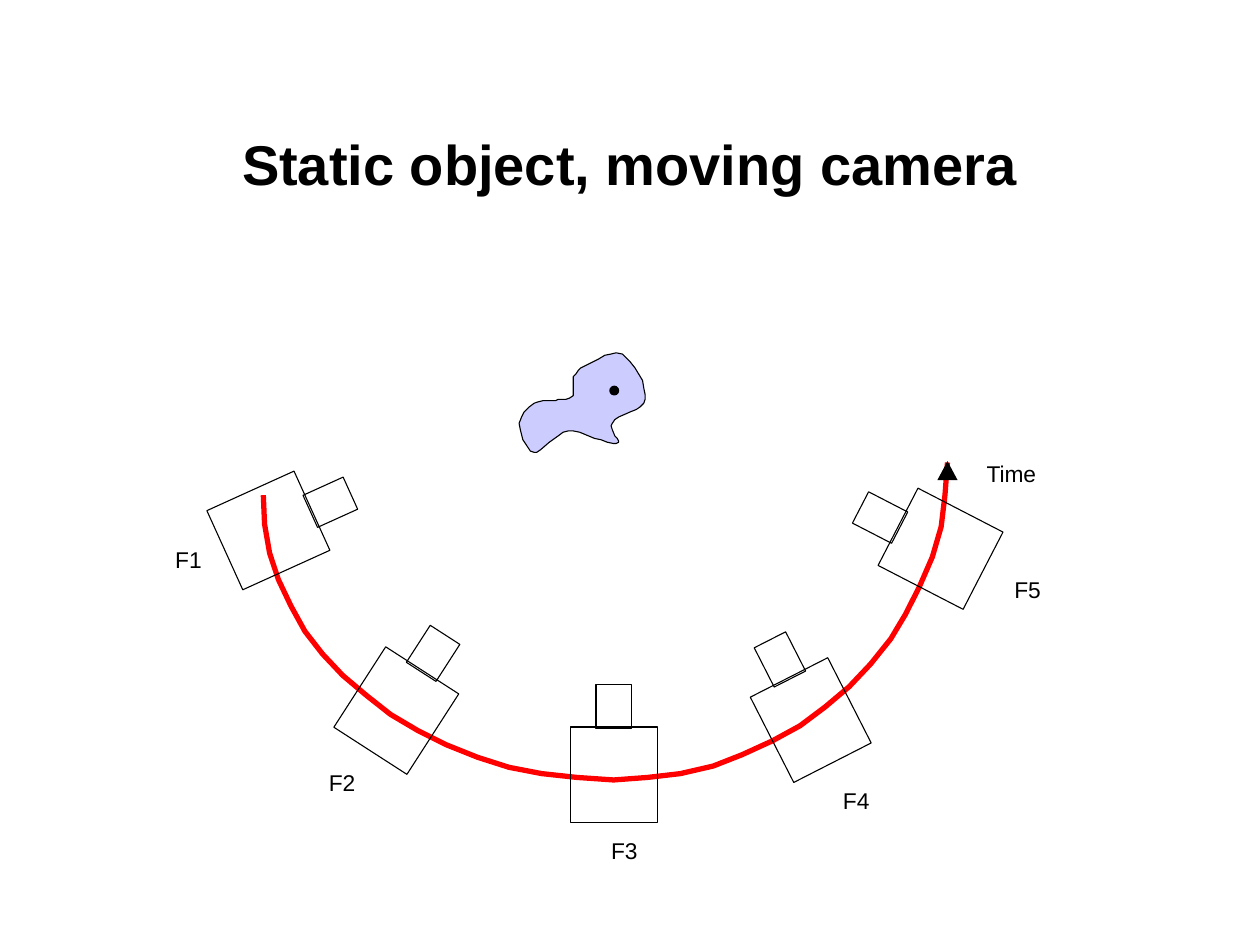
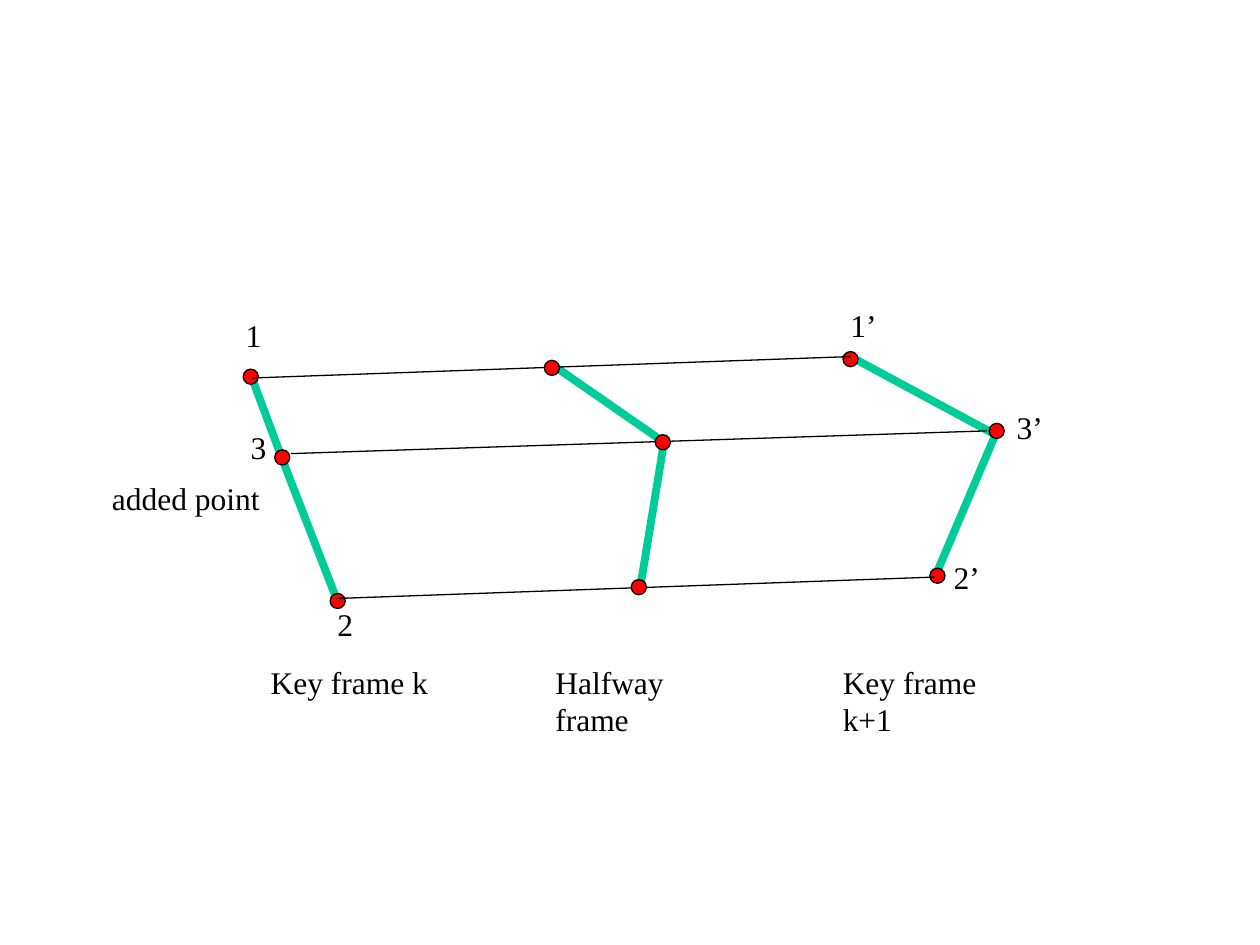
"""Build two slides on camera motion and key frame interpolation."""
import math
from dataclasses import dataclass

import lxml.etree
import pptx
import pptx.dml.color
import pptx.enum.shapes
import pptx.enum.text
import pptx.oxml.ns
import pptx.util

SHAPE = pptx.enum.shapes.MSO_SHAPE
ALIGN = pptx.enum.text.PP_ALIGN


@dataclass(frozen=True)
class Theme:
    """Colours, fonts, type sizes and line widths."""
    ink: str = "000000"
    body: str = "CCCCFF"
    red: str = "FF0000"
    limb: str = "00CC99"
    sans: str = "Arial"
    serif: str = "Times New Roman"
    title: int = 32
    tag: int = 13
    label: int = 18
    thin: float = 0.62
    rule: float = 0.75
    track: float = 3
    limb_width: float = 4.5


THEME = Theme()

BLOB = [
    (4.43, 3.17), (4.49, 3.17), (4.52, 3.16), (4.55, 3.14), (4.55, 2.99), (4.57, 2.97),
    (4.59, 2.94), (4.61, 2.92), (4.65, 2.9), (4.75, 2.85), (4.8, 2.82), (4.85, 2.81),
    (4.89, 2.8), (4.94, 2.81), (4.97, 2.84), (5, 2.87), (5.04, 2.92), (5.07, 2.97),
    (5.1, 3.02), (5.11, 3.08), (5.12, 3.13), (5.12, 3.17), (5.11, 3.2), (5.08, 3.23),
    (5.05, 3.25), (5, 3.27), (4.91, 3.31), (4.88, 3.33), (4.86, 3.36), (4.85, 3.38),
    (4.86, 3.41), (4.88, 3.46), (4.9, 3.48), (4.91, 3.5), (4.91, 3.51), (4.89, 3.52),
    (4.87, 3.52), (4.82, 3.51), (4.77, 3.49), (4.72, 3.48), (4.6, 3.43), (4.55, 3.42),
    (4.51, 3.42), (4.47, 3.43), (4.43, 3.46), (4.36, 3.51), (4.29, 3.57), (4.26, 3.59),
    (4.24, 3.59), (4.21, 3.58), (4.19, 3.55), (4.15, 3.49), (4.13, 3.41), (4.12, 3.36),
    (4.14, 3.31), (4.16, 3.27), (4.2, 3.23), (4.24, 3.2), (4.27, 3.19), (4.31, 3.18),
    (4.41, 3.18),
]
TRACK = [
    (2.09, 3.93), (2.1, 4.16), (2.14, 4.39), (2.21, 4.6), (2.31, 4.81), (2.42, 5.01),
    (2.56, 5.19), (2.72, 5.36), (2.91, 5.52), (3.1, 5.67), (3.32, 5.8), (3.54, 5.91),
    (3.79, 6.01), (4.04, 6.09), (4.3, 6.14), (4.58, 6.17), (4.87, 6.19), (5.14, 6.17),
    (5.4, 6.14), (5.66, 6.08), (5.89, 5.99), (6.13, 5.88), (6.35, 5.76), (6.55, 5.61),
    (6.74, 5.45), (6.91, 5.27), (7.07, 5.07), (7.19, 4.87), (7.3, 4.65), (7.4, 4.42),
    (7.47, 4.18), (7.5, 3.93), (7.52, 3.67),
]
CAMERAS = [
    ("F1", 2.13, 4.21, 65.6, 1.39, 4.33),
    ("F2", 3.145, 5.64, 32.8, 2.61, 6.1),
    ("F3", 4.87, 6.15, 0, 4.85, 6.64),
    ("F4", 6.435, 5.715, -27, 6.69, 6.24),
    ("F5", 7.465, 4.355, -62.7, 8.05, 4.57),
]
LIMBS = [
    [(2, 3), (2.25, 3.67), (2.67, 4.75)],
    [(4.42, 2.92), (5.27, 3.51), (5.08, 4.67)],
    [(6.75, 2.83), (7.9, 3.45), (7.42, 4.58)],
]
KEY_DOTS = [(1.99, 2.99), (2.68, 4.77), (6.75, 2.85), (7.44, 4.57)]
OTHER_DOTS = [(2.24, 3.63), (7.91, 3.42), (4.38, 2.92), (5.26, 3.51), (5.07, 4.66)]
LINKS = [((2, 3), (6.75, 2.83)), ((2.67, 4.75), (7.42, 4.58)), ((2.31, 3.6), (7.83, 3.42))]
LABELS = [
    ("1", 1.85, 2.46, 0.32), ("2", 2.58, 4.75, 0.32), ("3", 1.89, 3.35, 0.32),
    ("1’", 6.65, 2.38, 0.41), ("2’", 7.47, 4.38, 0.41), ("3’", 7.97, 3.19, 0.41),
    ("added point", 0.79, 3.75, 1.37), ("Key frame k", 2.05, 5.21, 1.45),
    ("Halfway frame", 4.31, 5.21, 1.7), ("Key frame k+1", 6.59, 5.21, 1.71),
]


def inch(value):
    """Turn a position on the inch grid into a length."""
    return pptx.util.Cm(2.54 * value)


def rgb(colour):
    """Turn a hex string into a colour."""
    return pptx.dml.color.RGBColor.from_string(colour)


def paint(sp, fill=None, line=None, width=THEME.thin):
    """Set fill and outline, with none where no colour is given."""
    sp.shadow.inherit = False
    if fill:
        sp.fill.solid()
        sp.fill.fore_color.rgb = rgb(fill)
    else:
        sp.fill.background()
    if line:
        sp.line.color.rgb = rgb(line)
        sp.line.width = pptx.util.Pt(width)
    else:
        sp.line.fill.background()


def add_preset(slide, kind, cx, cy, w, h, angle=0, **style):
    """Add a preset shape around its centre."""
    sp = slide.shapes.add_shape(kind, inch(cx - w / 2), inch(cy - h / 2), inch(w), inch(h))
    sp.rotation = angle
    paint(sp, **style)


def add_outline(slide, points, close=False, **style):
    """Add a freeform through the points."""
    start, *rest = [(inch(x), inch(y)) for x, y in points]
    builder = slide.shapes.build_freeform(*start)
    builder.add_line_segments(rest, close=close)
    paint(builder.convert_to_shape(), **style)


def add_link(slide, start, end):
    """Add a thin straight line."""
    kind = pptx.enum.shapes.MSO_CONNECTOR.STRAIGHT
    line = slide.shapes.add_connector(kind, *map(inch, start + end))
    line.line.color.rgb = rgb(THEME.ink)
    line.line.width = pptx.util.Pt(THEME.rule)
    sp_pr = line._element.spPr
    lxml.etree.SubElement(sp_pr, pptx.oxml.ns.qn("a:effectLst"))


def add_text(slide, text, x, y, w, h, size, font, inset=(0.1, 0.05), bold=False):
    """Add a text box with one unwrapped paragraph and return it."""
    tb = slide.shapes.add_textbox(inch(x), inch(y), inch(w), inch(h))
    tf = tb.text_frame
    tf.word_wrap = False
    tf.margin_left = tf.margin_right = inch(inset[0])
    tf.margin_top = tf.margin_bottom = inch(inset[1])
    tf.text = text
    r = tf.paragraphs[0].runs[0]
    r.font.size = pptx.util.Pt(size)
    r.font.name = font
    r.font.bold = bold
    r.font.color.rgb = rgb(THEME.ink)
    return tb


def add_title(slide, text):
    """Add the centred slide title."""
    tf = add_text(slide, text, 0.75, 0.67, 8.5, 1.25, THEME.title, THEME.sans, bold=True).text_frame
    tf.word_wrap = True
    tf.vertical_anchor = pptx.enum.text.MSO_ANCHOR.MIDDLE
    tf.paragraphs[0].alignment = ALIGN.CENTER


def add_tag(slide, text, x, y, w=0.21):
    """Add a small label without insets."""
    add_text(slide, text, x, y, w, 0.22, THEME.tag, THEME.sans, inset=(0, 0))


def add_camera(slide, cx, cy, angle):
    """Add a camera body with its lens, turned clockwise from upright."""
    reach, turn = 0.54, math.radians(angle)
    lens_x, lens_y = cx + reach * math.sin(turn), cy - reach * math.cos(turn)
    add_preset(slide, SHAPE.RECTANGLE, cx, cy, 0.69, 0.76, angle, line=THEME.ink)
    add_preset(slide, SHAPE.RECTANGLE, lens_x, lens_y, 0.28, 0.35, angle, line=THEME.ink)


def add_dots(slide, centres):
    """Add a red dot at each centre."""
    for cx, cy in centres:
        add_preset(slide, SHAPE.OVAL, cx, cy, 0.12, 0.12,
                   fill=THEME.red, line=THEME.ink, width=THEME.rule)


def build_camera_slide(slide):
    """Show a still object filmed from five camera positions."""
    add_title(slide, "Static object, moving camera")
    add_outline(slide, BLOB, close=True, fill=THEME.body, line=THEME.ink)
    add_preset(slide, SHAPE.OVAL, 4.875, 3.1, 0.07, 0.07, fill=THEME.ink, line=THEME.ink)
    add_outline(slide, TRACK, line=THEME.red, width=THEME.track)
    add_preset(slide, SHAPE.ISOSCELES_TRIANGLE, 7.52, 3.735, 0.16, 0.15, fill=THEME.ink)
    add_tag(slide, "Time", 7.83, 3.65, 0.4)
    for name, cx, cy, angle, tag_x, tag_y in CAMERAS:
        add_camera(slide, cx, cy, angle)
        add_tag(slide, name, tag_x, tag_y)


def build_key_frame_slide(slide):
    """Show the halfway frame between two key frames."""
    for limb in LIMBS:
        add_outline(slide, limb, line=THEME.limb, width=THEME.limb_width)
    add_dots(slide, KEY_DOTS)
    for start, end in LINKS:
        add_link(slide, start, end)
    add_dots(slide, OTHER_DOTS)
    for text, x, y, w in LABELS:
        add_text(slide, text, x, y, w, 0.4, THEME.label, THEME.serif)


def main():
    """Build and save the presentation."""
    prs = pptx.Presentation()
    prs.slide_width, prs.slide_height = inch(10), inch(7.5)
    for build in (build_camera_slide, build_key_frame_slide):
        build(prs.slides.add_slide(prs.slide_layouts[6]))
    prs.save("out.pptx")


if __name__ == "__main__":
    main()
